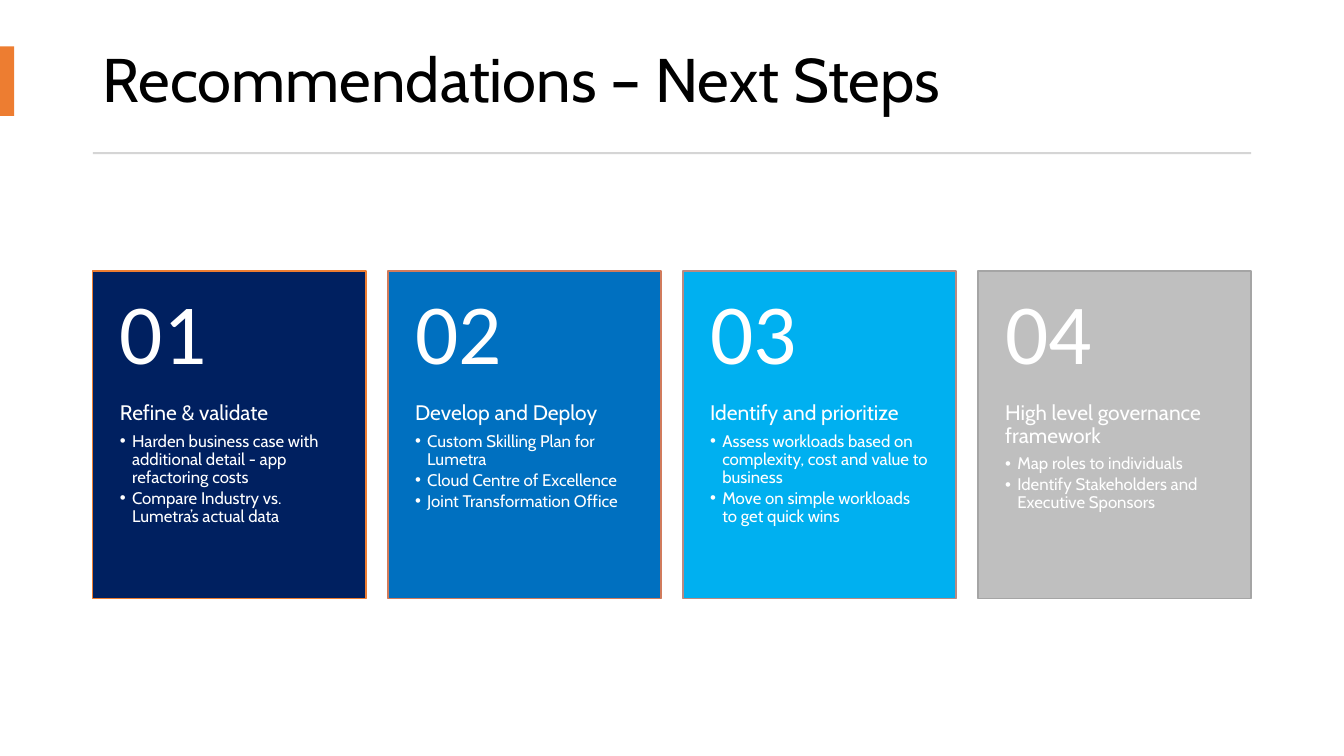
from lxml import etree
from pptx import Presentation
from pptx.dml.color import RGBColor
from pptx.enum.shapes import MSO_SHAPE
from pptx.enum.text import MSO_ANCHOR, MSO_AUTO_SIZE, PP_ALIGN
from pptx.oxml.ns import qn
from pptx.util import Inches, Pt

RECT = MSO_SHAPE.RECTANGLE
TOP, MIDDLE = MSO_ANCHOR.TOP, MSO_ANCHOR.MIDDLE
LEFT = PP_ALIGN.LEFT
NO_FIT = MSO_AUTO_SIZE.NONE

BLACK = RGBColor(0x00, 0x00, 0x00)
WHITE = RGBColor(0xFF, 0xFF, 0xFF)
ORANGE = RGBColor(0xED, 0x7D, 0x31)
RULE_GREY = RGBColor(0xD5, 0xD5, 0xD5)
NAVY = RGBColor(0x00, 0x20, 0x60)
BLUE = RGBColor(0x00, 0x70, 0xC0)
SKY = RGBColor(0x00, 0xB0, 0xF0)
SILVER = RGBColor(0xBF, 0xBF, 0xBF)
COPPER = RGBColor(0xD1, 0x7B, 0x5C)
MAUVE = RGBColor(0xB9, 0x8A, 0x82)
GREY = RGBColor(0xA5, 0xA5, 0xA5)

FONT, NUMBER_FONT = "Cabin", "Calibri"
SLIDE_W, SLIDE_H = 13.33, 7.5
MARGIN = 0.92
CONTENT_W = SLIDE_W - 2 * MARGIN
CARD_TOP, CARD_W, CARD_H = 2.69, 2.71, 3.25
NUMBER_H = 0.4 * CARD_H
PAD = 0.27
INDENT = 0.12

STEPS = [
    (NAVY, ORANGE, "Refine & validate",
     ["Harden business case with additional detail - app refactoring costs",
      "Compare Industry vs. Lumetra’s actual data"]),
    (BLUE, COPPER, "Develop and Deploy",
     ["Custom Skilling Plan for Lumetra",
      "Cloud Centre of Excellence",
      "Joint Transformation Office"]),
    (SKY, MAUVE, "Identify and prioritize",
     ["Assess workloads based on complexity, cost and value to business",
      "Move on simple workloads to get quick wins"]),
    (SILVER, GREY, "High level governance framework",
     ["Map roles to individuals",
      "Identify Stakeholders and Executive Sponsors"]),
]


def box(x, y, w, h):
    """Return a position and size in inches as lengths."""
    return [Inches(v) for v in (x, y, w, h)]


def add_rect(shapes, bounds, fill, line=None):
    """Add a flat rectangle with an optional outline."""
    sp = shapes.add_shape(RECT, *bounds)
    sp.shadow.inherit = False
    sp.fill.solid()
    sp.fill.fore_color.rgb = fill
    if line is None:
        sp.line.fill.background()
    else:
        sp.line.color.rgb = line
        sp.line.width = Pt(1)


def add_text(shapes, bounds, top, bottom, anchor):
    """Add a padded text box and return its text frame."""
    tf = shapes.add_textbox(*bounds).text_frame
    tf.word_wrap = True
    tf.auto_size = NO_FIT
    tf.vertical_anchor = anchor
    tf.margin_left = tf.margin_right = Inches(PAD)
    tf.margin_top, tf.margin_bottom = Inches(top), Inches(bottom)
    return tf


def add_run(p, text, size, color=WHITE, font=FONT, after=0):
    """Add a formatted run and set the spacing of its paragraph."""
    p.alignment = LEFT
    p.line_spacing = 0.9
    p.space_after = Pt(after)
    r = p.add_run()
    r.text = text
    r.font.size = Pt(size)
    r.font.name = font
    r.font.color.rgb = color


def add_bullet(p):
    """Give a paragraph a round bullet with a hanging indent."""
    pPr = p._p.get_or_add_pPr()
    pPr.set("marL", str(Inches(INDENT)))
    pPr.set("indent", str(-Inches(INDENT)))
    etree.SubElement(pPr, qn("a:buFont")).set("typeface", "Arial")
    etree.SubElement(pPr, qn("a:buChar")).set("char", "•")


def add_title(s, text):
    """Place the title with its accent bar and rule."""
    sp = s.shapes.title
    sp.left, sp.top, sp.width, sp.height = box(MARGIN, 0.27, CONTENT_W, 1.1)
    tf = sp.text_frame
    tf.word_wrap = True
    tf.auto_size = NO_FIT
    tf.vertical_anchor = MIDDLE
    add_run(tf.paragraphs[0], text, 44, BLACK)
    add_rect(s.shapes, box(0, 0.46, 0.14, 0.69), ORANGE)
    add_rect(s.shapes, box(MARGIN, 1.51, CONTENT_W, 0.02), RULE_GREY)


def add_card(shapes, x, number, fill, line, heading, bullets):
    """Add a coloured card with a number, a heading and bullets."""
    add_rect(shapes, box(x, CARD_TOP, CARD_W, CARD_H), fill, line)
    bounds = box(x, CARD_TOP + NUMBER_H, CARD_W, CARD_H - NUMBER_H)
    tf = add_text(shapes, bounds, 0, 0.36, TOP)
    add_run(tf.paragraphs[0], heading, 15, after=5.5)
    for bullet in bullets:
        p = tf.add_paragraph()
        p.level = 1
        add_bullet(p)
        add_run(p, bullet, 12, after=2)
    bounds = box(x, CARD_TOP, CARD_W, NUMBER_H)
    tf = add_text(shapes, bounds, 0.18, 0.18, MIDDLE)
    add_run(tf.paragraphs[0], f"{number:02d}", 61, font=NUMBER_FONT)


def main():
    """Build and save the slide."""
    prs = Presentation()
    prs.slide_width, prs.slide_height = Inches(SLIDE_W), Inches(SLIDE_H)
    s = prs.slides.add_slide(prs.slide_layouts[5])
    add_title(s, "Recommendations – Next Steps")
    cards = s.shapes.add_group_shape().shapes
    pitch = (CONTENT_W - CARD_W) / (len(STEPS) - 1)
    for i, step in enumerate(STEPS):
        add_card(cards, MARGIN + i * pitch, i + 1, *step)
    prs.save("out.pptx")


if __name__ == "__main__":
    main()
